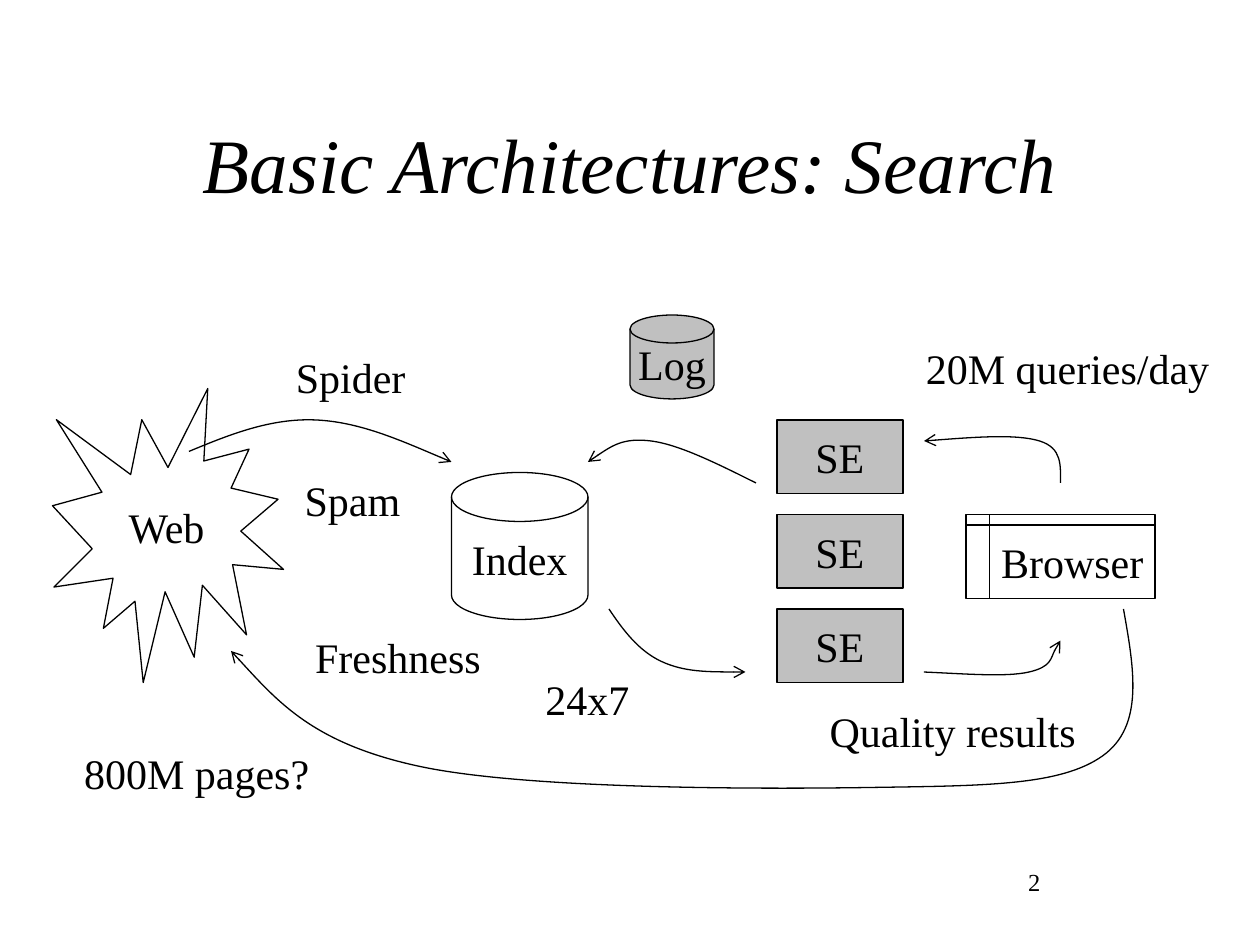
"""Build a slide on the basic architecture of a search engine."""
import dataclasses
import typing

import lxml.etree
import pptx
import pptx.dml.color
import pptx.enum.shapes
import pptx.enum.text
import pptx.oxml.ns
import pptx.util

Pt = pptx.util.Pt
Kind = pptx.enum.shapes.MSO_SHAPE
Align = pptx.enum.text.PP_ALIGN
Anchor = pptx.enum.text.MSO_ANCHOR
Fit = pptx.enum.text.MSO_AUTO_SIZE
qn = pptx.oxml.ns.qn
FONT = "Times New Roman"
BLACK = "000000"
GREY = "C0C0C0"


@dataclasses.dataclass
class Node:
    kind: typing.Any
    text: str
    box: tuple
    fill: typing.Optional[str] = None


@dataclasses.dataclass
class Label:
    text: str
    box: tuple
    size: float = 24
    align: typing.Any = Align.LEFT
    anchor: typing.Any = Anchor.TOP
    wrap: bool = False
    slant: bool = False


NODES = [
    Node(Kind.EXPLOSION1, "Web", (30, 222, 132, 168)),
    Node(Kind.FLOWCHART_MAGNETIC_DISK, "Log", (360, 180, 48, 48), GREY),
    Node(Kind.FLOWCHART_MAGNETIC_DISK, "Index", (258, 270, 78, 84)),
    Node(Kind.FLOWCHART_INTERNAL_STORAGE, "Browser", (552, 294, 108, 48)),
] + [Node(Kind.RECTANGLE, "SE", (444, 240 + 54 * row, 72, 42), GREY) for row in range(3)]

LABELS = [
    Label("Basic Architectures: Search", (54, 48, 612, 90), 44,
          Align.CENTER, Anchor.MIDDLE, True, True),
    Label("Spider", (162, 197.5, 114, 36), wrap=True),
    Label("Spam", (167, 267.5, 69, 36)),
    Label("Freshness", (173, 357.5, 109, 36)),
    Label("Quality results", (467, 399.5, 155, 36)),
    Label("20M queries/day", (522, 192, 177, 36)),
    Label("800M pages?", (41, 423.5, 143, 36)),
    Label("24x7", (304.5, 381.5, 62.5, 36)),
    Label("2", (516, 492, 150, 36), 14, Align.CENTER, wrap=True),
]

CURVES = [
    [(348, 348), (356, 360), (365, 372), (378, 378), (391, 384), (408, 384), (426, 384)],
    [(108, 258), (132, 248), (155, 239), (180, 240), (205, 241), (232, 253), (258, 264)],
    [(432, 276), (410, 265), (388, 254), (372, 252), (356, 250), (346, 257), (336, 264)],
    [(528, 384), (551, 385), (575, 387), (588, 384), (601, 381), (603, 369), (606, 366)],
    [(606, 276), (606, 266), (607, 256), (594, 252), (581, 248), (554, 250), (528, 252)],
    [(642, 348), (648, 382), (654, 415), (630, 432), (606, 449), (563, 449), (498, 450),
     (433, 451), (301, 451), (240, 438), (179, 425), (156, 398), (132, 372)],
]


def color(code: str) -> pptx.dml.color.RGBColor:
    return pptx.dml.color.RGBColor.from_string(code)


def write(shape, item: Label) -> None:
    frame = shape.text_frame
    frame.word_wrap = item.wrap
    frame.vertical_anchor = item.anchor
    para = frame.paragraphs[0]
    para.text = item.text
    para.alignment = item.align
    font = para.font
    font.name, font.size, font.italic = FONT, Pt(item.size), item.slant
    font.color.rgb = color(BLACK)


def style(shape, fill: typing.Optional[str] = None) -> None:
    shape.shadow.inherit = False
    if fill:
        shape.fill.solid()
        shape.fill.fore_color.rgb = color(fill)
    else:
        shape.fill.background()
    shape.line.color.rgb = color(BLACK)
    shape.line.width = Pt(0.75)


def node(shapes, item: Node) -> None:
    shape = shapes.add_shape(item.kind, *map(Pt, item.box))
    style(shape, item.fill)
    write(shape, Label(item.text, item.box, align=Align.CENTER, anchor=Anchor.MIDDLE))


def label(shapes, item: Label) -> None:
    shape = shapes.add_textbox(*map(Pt, item.box))
    write(shape, item)
    if not item.wrap:
        shape.text_frame.auto_size = Fit.SHAPE_TO_FIT_TEXT


def curve(shapes, points: list) -> None:
    start, *rest = [(Pt(x), Pt(y)) for x, y in points]
    pen = shapes.build_freeform(*start)
    pen.add_line_segments(rest, close=False)
    shape = pen.convert_to_shape()
    style(shape)
    track = shape._element.find(".//" + qn("a:path"))
    lines = track.findall(qn("a:lnTo"))
    for first in range(0, len(lines), 3):
        bend = lxml.etree.SubElement(track, qn("a:cubicBezTo"))
        for line in lines[first:first + 3]:
            bend.append(line[0])
            track.remove(line)
    edge = shape.line._get_or_add_ln()
    lxml.etree.SubElement(edge, qn("a:tailEnd"), type="arrow")


def main() -> None:
    deck = pptx.Presentation()
    deck.slide_width, deck.slide_height = Pt(720), Pt(540)
    shapes = deck.slides.add_slide(deck.slide_layouts[6]).shapes
    for draw, items in ((node, NODES), (label, LABELS), (curve, CURVES)):
        for item in items:
            draw(shapes, item)
    deck.save("out.pptx")


if __name__ == "__main__":
    main()
